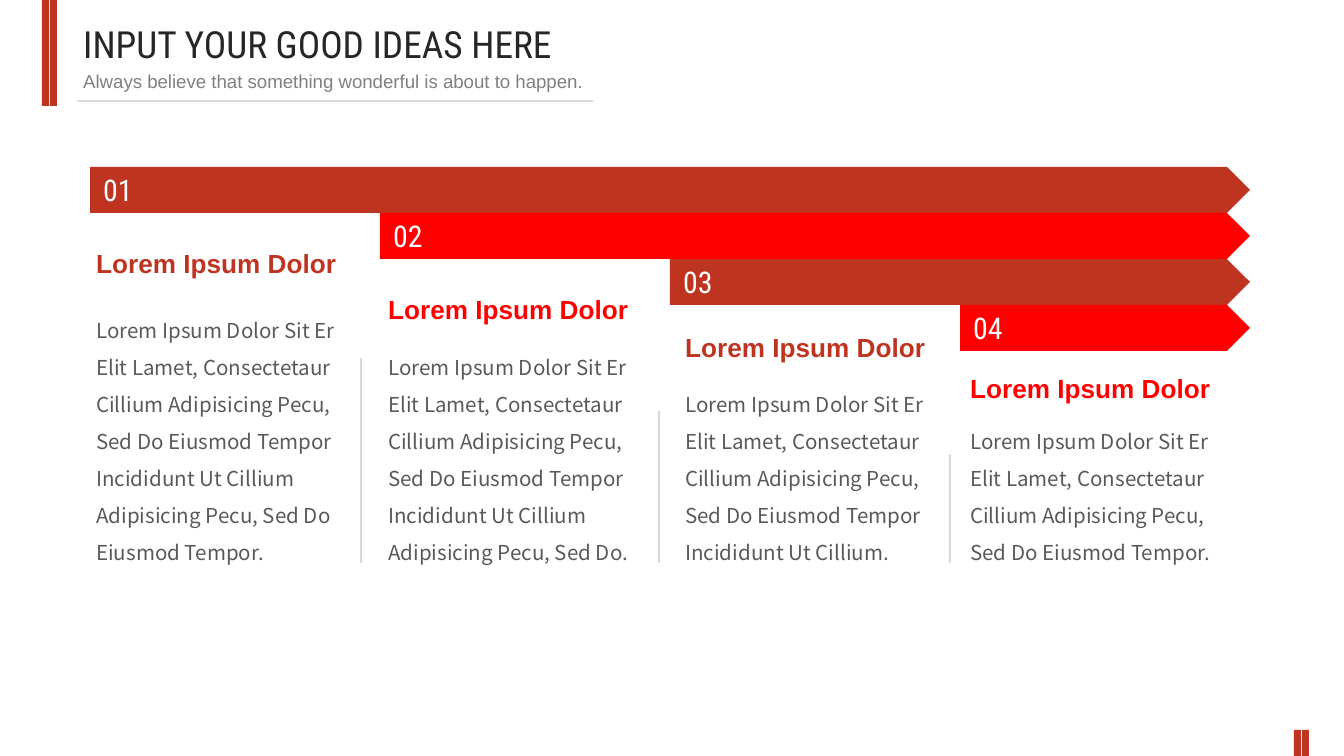
from lxml.etree import SubElement
from pptx import Presentation
from pptx.dml.color import RGBColor
from pptx.enum.shapes import MSO_CONNECTOR, MSO_SHAPE
from pptx.enum.text import MSO_ANCHOR, MSO_AUTO_SIZE, PP_ALIGN
from pptx.oxml.ns import qn
from pptx.util import Emu, Pt

WIDE, HIGH = 1344, 756
SCALE = 9144000 / WIDE
BRICK, RED, GREY = "BF3420", "FF0000", "D9D9D9"
COLORS = [BRICK, RED, BRICK, RED]
BASE = ("Lorem Ipsum Dolor Sit Er Elit Lamet, Consectetaur Cillium "
        "Adipisicing Pecu, Sed Do Eiusmod Tempor")
TAILS = [" Incididunt Ut Cillium Adipisicing Pecu, Sed Do Eiusmod Tempor.",
         " Incididunt Ut Cillium Adipisicing Pecu, Sed Do.",
         " Incididunt Ut Cillium.",
         "."]


def px(*sizes):
    """Turn pixel lengths into EMU."""
    return [Emu(round(size * SCALE)) for size in sizes]


def paint(target, color):
    """Set a fill, line or font to a hex colour."""
    if hasattr(target, "solid"):
        target.solid()
        target.fore_color.rgb = RGBColor.from_string(color)
    else:
        target.color.rgb = RGBColor.from_string(color)


def write(frame, text, size, face, color, bold=False, lead=None):
    """Write one styled run as the first paragraph of a frame."""
    frame.word_wrap = True
    para = frame.paragraphs[0]
    para.alignment = PP_ALIGN.LEFT
    if lead:
        para.line_spacing = lead
    run = para.add_run()
    run.text = text
    run.font.size, run.font.name, run.font.bold = Pt(size), face, bold
    paint(run.font, color)


def label(slide, box, *style, **extra):
    """Add a text box in the given box."""
    frame = slide.shapes.add_textbox(*px(*box)).text_frame
    write(frame, *style, **extra)
    frame.auto_size = MSO_AUTO_SIZE.SHAPE_TO_FIT_TEXT


def block(slide, kind, box, color):
    """Add a flat filled shape without an outline."""
    shape = slide.shapes.add_shape(kind, *px(*box))
    shape.shadow.inherit = False
    paint(shape.fill, color)
    shape.line.fill.background()
    return shape


def rule(slide, x1, y1, x2, y2):
    """Draw a thin grey line."""
    line = slide.shapes.add_connector(MSO_CONNECTOR.STRAIGHT, *px(x1, y1, x2, y2))
    paint(line.line, GREY)
    line.line.width = Pt(0.75)
    SubElement(line._element.spPr, qn("a:effectLst"))


def stripes(slide, left, top, high):
    """Draw a pair of upright brick stripes."""
    for step in range(2):
        block(slide, MSO_SHAPE.RECTANGLE, (left + 8 * step, top, 7, high), BRICK)


def header(slide, left, top, wide):
    """Place the title, subtitle and underline."""
    rule(slide, left + 7, top + 86, left + 523, top + 86)
    label(slide, (left, top, wide, 59), "INPUT YOUR GOOD IDEAS HERE",
          20, "Roboto Condensed", "262626")
    label(slide, (left, top + 48, wide, 36),
          "Always believe that something wonderful is about to happen.",
          10, "Arial", "808080")


def arrows(slide, left, top, right):
    """Stack the numbered arrows, each starting one step further right."""
    for row, color in enumerate(COLORS):
        start = left + 290 * row
        bar = block(slide, MSO_SHAPE.PENTAGON,
                    (start, top + 46 * row, right - start, 46), color)
        bar.text_frame.vertical_anchor = MSO_ANCHOR.MIDDLE
        write(bar.text_frame, f"{row + 1:02}", 16, "Roboto Condensed", "FFFFFF")


def column(slide, left, head, top, base, color, tail):
    """Place a heading with its body text, which ends at the base."""
    label(slide, (left, top, 278, base - top), BASE + tail,
          11, "Noto Sans CJK SC", "595959", lead=1.5)
    label(slide, (left, head, 278, 46), "Lorem Ipsum Dolor",
          14, "Arial", color, bold=True)


def main():
    """Build and save the slide."""
    deck = Presentation()
    deck.slide_width, deck.slide_height = px(WIDE, HIGH)
    slide = deck.slides.add_slide(deck.slide_layouts[6])
    stripes(slide, 42, 0, 106)
    stripes(slide, 1294, 730, 26)
    header(slide, 70, 15, 569)
    arrows(slide, 90, 167, 1250)
    spots = [(83, 241), (375, 287), (672, 325), (957, 366)]
    for row, (left, head) in enumerate(spots):
        column(slide, left, head, 299 + 37 * row, 573, COLORS[row], TAILS[row])
    for left, top in [(361, 358), (659, 411), (950, 454)]:
        rule(slide, left, top, left, 563)
    deck.save("out.pptx")


if __name__ == "__main__":
    main()
